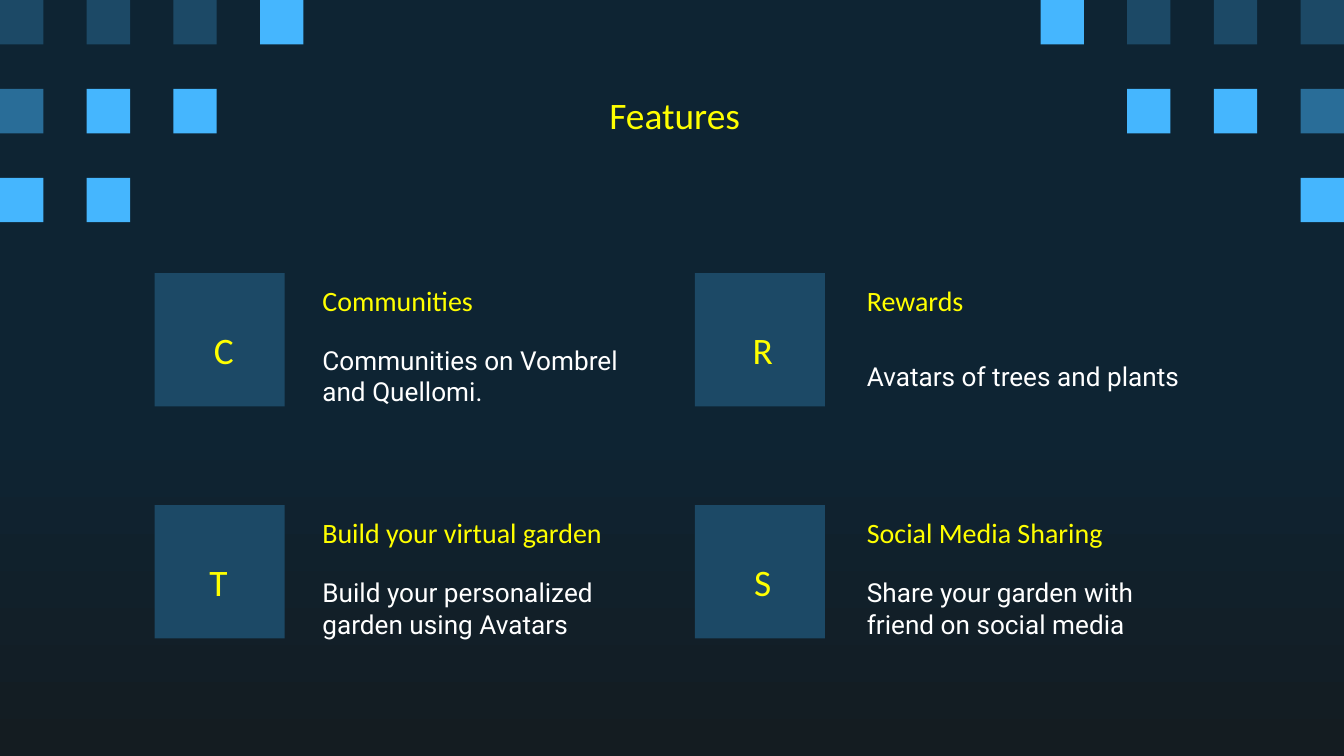
from pptx import Presentation
from pptx.dml.color import RGBColor
from pptx.enum.shapes import MSO_SHAPE as Preset
from pptx.enum.text import MSO_ANCHOR as Anchor, PP_ALIGN as Align
from pptx.util import Inches, Pt

WIDTH, HEIGHT = Inches(10), Inches(5.625)
COLUMN, ROW = WIDTH / 31, HEIGHT / 17

NAVY, NIGHT = "0E2433", "141C21"
DEEP, MID, BRIGHT = "1C4966", "296D98", "45B6FE"
YELLOW, WHITE = "FFFF00", "FFFFFF"

TILE_COLOURS = {"D": DEEP, "M": MID, "B": BRIGHT}
TILE_ROWS = [
    "DDDB........BDDD",
    "MBB..........BBM",
    "BB.............B",
]

SIDE_INSETS = (0.1, 0.1)
CENTRED_INSETS = (0.05, 0)

CARDS = [
    ((3.57, 6.14), 7.13, 4.31, "C", "Communities", "Communities on Vombrel and Quellomi."),
    ((16.03, 6.14), 19.69, 16.74, "R", "Rewards", "Avatars of trees and plants"),
    ((3.57, 11.36), 7.13, 4.19, "T", "Build your virtual garden",
     "Build your personalized garden using Avatars"),
    ((16.03, 11.36), 19.69, 16.74, "S", "Social Media Sharing",
     "Share your garden with friend on social media"),
]


def colour(hex_string):
    return RGBColor.from_string(hex_string)


def grid_box(left, top, columns, rows):
    return (round(left * COLUMN), round(top * ROW),
            round(columns * COLUMN), round(rows * ROW))


def add_block(slide, box, fill):
    block = slide.shapes.add_shape(Preset.RECTANGLE, *grid_box(*box))
    block.shadow.inherit = False
    block.fill.solid()
    block.fill.fore_color.rgb = colour(fill)
    block.line.fill.background()


def add_text(slide, box, words, size, font_name, ink,
             align=Align.LEFT, anchor=Anchor.MIDDLE, insets=SIDE_INSETS):
    frame = slide.shapes.add_textbox(*grid_box(*box)).text_frame
    frame.word_wrap = True
    frame.vertical_anchor = anchor
    frame.margin_left, frame.margin_right = map(Inches, insets)
    frame.margin_top = frame.margin_bottom = Inches(0.1)
    frame.text = words
    paragraph = frame.paragraphs[0]
    paragraph.alignment = align
    font = paragraph.runs[0].font
    font.size, font.name = Pt(size), font_name
    font.color.rgb = colour(ink)


def add_centred(slide, box, words):
    add_text(slide, box, words, 20, "Calibri", YELLOW,
             Align.CENTER, Anchor.TOP, CENTRED_INSETS)


def paint_background(slide):
    fill = slide.background.fill
    fill.gradient()
    fill.gradient_angle = 270
    for stop, position, shade in zip(fill.gradient_stops, (0.56, 1), (NAVY, NIGHT)):
        stop.position = position
        stop.color.rgb = colour(shade)


def add_tiles(slide, left, top):
    for row, marks in enumerate(TILE_ROWS):
        for column, mark in enumerate(marks):
            if mark in TILE_COLOURS:
                add_block(slide, (left + 2 * column, top + 2 * row, 1, 1), TILE_COLOURS[mark])


def add_card(slide, corner, text_left, letter_left, letter, heading, detail):
    left, top = corner
    add_block(slide, (left, top, 3, 3), DEEP)
    add_centred(slide, (letter_left, top + 0.91, 1.55, 1.21), letter)
    add_text(slide, (text_left, top - 0.13, 9.15, 1.48), heading, 15, "Calibri", YELLOW)
    add_text(slide, (text_left, top + 1.36, 8.22, 1.9), detail, 14, "Roboto", WHITE)


def main():
    deck = Presentation()
    deck.slide_width, deck.slide_height = WIDTH, HEIGHT
    slide = deck.slides.add_slide(deck.slide_layouts[6])
    paint_background(slide)
    add_tiles(slide, 0, 0)
    add_centred(slide, (2.42, 1.78, 26.13, 1.09), "Features")
    for card in CARDS:
        add_card(slide, *card)
    deck.save("out.pptx")


if __name__ == "__main__":
    main()
